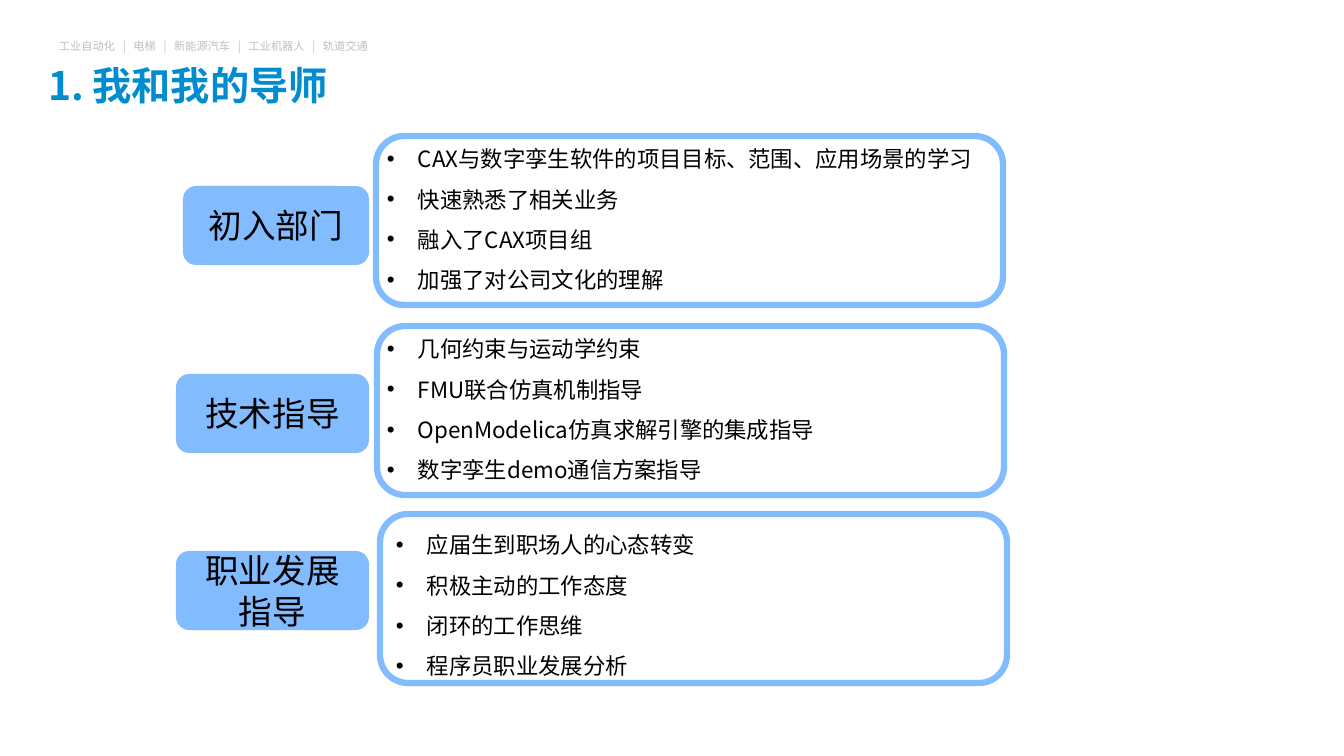
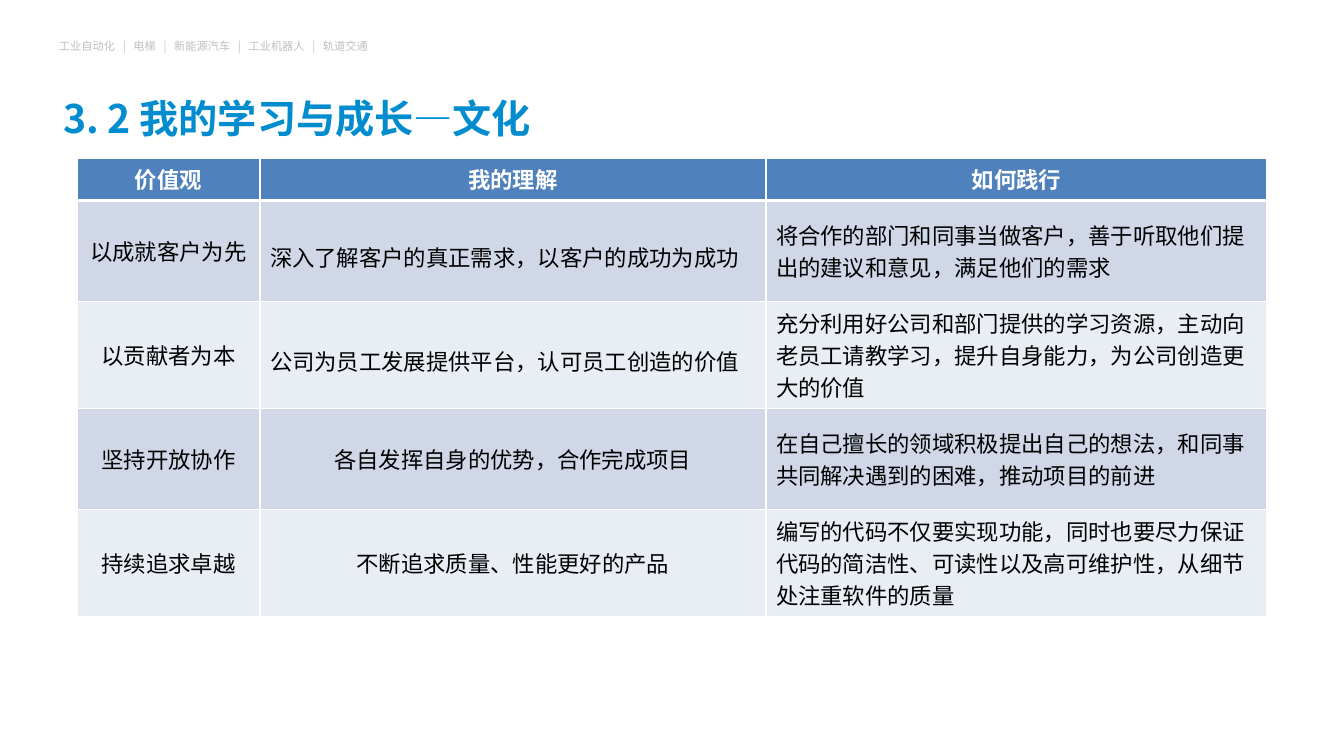
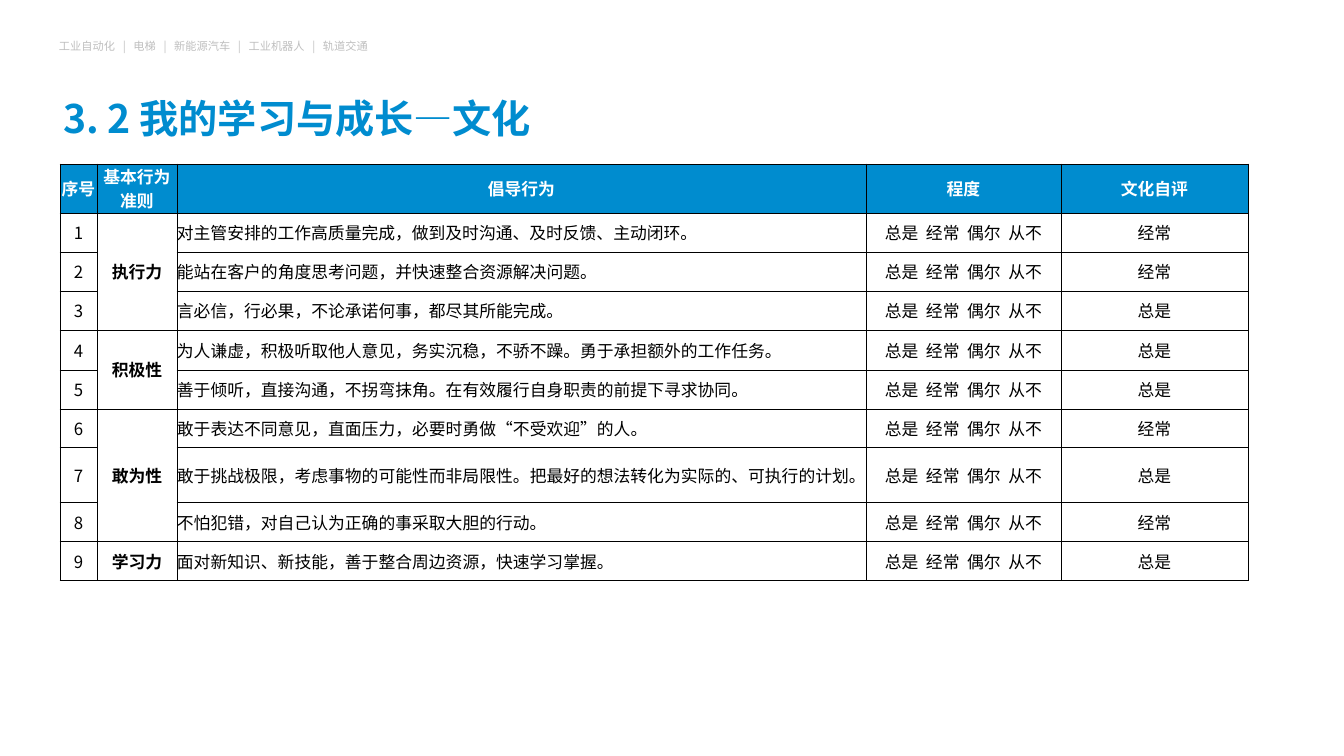
from lxml import etree
from pptx import Presentation
from pptx import util as u
from pptx.dml import color as dml
from pptx.enum import shapes, text
from pptx.oxml import ns

SCALE = 914400 / 100.8  # EMU in one px
FONT = "Noto Sans CJK SC"
BLUE, PALE_BLUE = "008CCF", "83BBFF"
BLACK, WHITE, GREY = "000000", "FFFFFF", "BFBFBF"
LEFT, CENTER = text.PP_ALIGN.LEFT, text.PP_ALIGN.CENTER
MIDDLE = text.MSO_ANCHOR.MIDDLE
color = dml.RGBColor.from_string


def px(*lengths):
    return [u.Emu(round(length * SCALE)) for length in lengths]


def write(frame, *lines, size=16, fill=BLACK, bold=False, align=LEFT,
          font=FONT, spacing=None, indent=0):
    """Write one paragraph a line; an indent also gives it a bullet."""
    for number, line in enumerate(lines):
        paragraph = frame.add_paragraph() if number else frame.paragraphs[0]
        paragraph.alignment = align
        if spacing:
            paragraph.line_spacing = spacing
        if indent:
            properties = paragraph._p.get_or_add_pPr()
            hanging, = px(indent)
            properties.set("marL", str(hanging))
            properties.set("indent", str(-hanging))
            etree.SubElement(properties, ns.qn("a:buFont"), typeface="Arial")
            etree.SubElement(properties, ns.qn("a:buChar"), char="•")
        run = paragraph.add_run()
        run.text = line
        run.font.size = u.Pt(size)
        run.font.bold = bold
        run.font.color.rgb = color(fill)
        run.font.name = font
        etree.SubElement(run._r.get_or_add_rPr(), ns.qn("a:ea"), typeface=FONT)


presentation = Presentation()
presentation.slide_width, presentation.slide_height = px(1344, 756)

# Shared layout: title only, with the business line above it
layout = presentation.slide_layouts[5]
for placeholder in list(layout.placeholders):
    if placeholder.placeholder_format.idx != 0:
        placeholder.element.getparent().remove(placeholder.element)

# Slides and titles
slides = []
for title_text, left, top in [("1. 我和我的导师", 45, 49),
                              ("3. 2 我的学习与成长—文化", 60, 82),
                              ("3. 2 我的学习与成长—文化", 60, 82)]:
    slide = presentation.slides.add_slide(layout)
    title = slide.shapes.title
    title.left, title.top, title.width, title.height = px(left, top, 555, 72)
    frame = title.text_frame
    frame.auto_size = text.MSO_AUTO_SIZE.NONE
    frame.vertical_anchor = MIDDLE
    frame.margin_left, frame.margin_top, frame.margin_right, frame.margin_bottom = px(3, 3, 3, 3)
    write(frame, title_text, size=28, fill=BLUE, bold=True)
    slides.append(slide)
mentor_slide, values_slide, review_slide = slides

# The business line is made once and moved to the layout
header = mentor_slide.shapes.add_textbox(*px(51, 35, 325, 21))
frame = header.text_frame
frame.word_wrap = True
frame.margin_left, frame.margin_top, frame.margin_right, frame.margin_bottom = px(7, 4, 7, 4)
write(frame, "工业自动化   |   电梯   |   新能源汽车   |   工业机器人   |   轨道交通",
      size=8, fill=GREY, align=CENTER)
layout.shapes.element.append(header.element)

# Slide 1: label, frame and list for each stage
stages = [
    ("初入部门", (183, 186, 186, 79), (376, 136), (377, 127),
     ["CAX与数字孪生软件的项目目标、范围、应用场景的学习", "快速熟悉了相关业务",
      "融入了CAX项目组", "加强了对公司文化的理解"]),
    ("技术指导", (176, 374, 193, 79), (377, 326), (377, 317),
     ["几何约束与运动学约束", "FMU联合仿真机制指导",
      "OpenModelica仿真求解引擎的集成指导", "数字孪生demo通信方案指导"]),
    ("职业发展指导", (176, 551, 193, 79), (380, 514), (386, 513),
     ["应届生到职场人的心态转变", "积极主动的工作态度",
      "闭环的工作思维", "程序员职业发展分析"]),
]
for label_text, label_place, outline_place, list_place, points in stages:
    outline = mentor_slide.shapes.add_shape(
        shapes.MSO_SHAPE.ROUNDED_RECTANGLE, *px(*outline_place, 627, 169))
    outline.shadow.inherit = False
    outline.fill.background()
    outline.line.color.rgb = color(PALE_BLUE)
    outline.line.width = u.Pt(4.5)

    label = mentor_slide.shapes.add_shape(
        shapes.MSO_SHAPE.ROUNDED_RECTANGLE, *px(*label_place))
    label.shadow.inherit = False
    label.fill.solid()
    label.fill.fore_color.rgb = color(PALE_BLUE)
    label.line.fill.background()
    frame = label.text_frame
    frame.word_wrap = True
    frame.vertical_anchor = MIDDLE
    frame.margin_left, frame.margin_top, frame.margin_right, frame.margin_bottom = px(16, 0, 16, 0)
    write(frame, label_text, size=24, align=CENTER)

    point_list = mentor_slide.shapes.add_textbox(*px(*list_place, 694, 168))
    point_list.text_frame.word_wrap = True
    write(point_list.text_frame, *points, spacing=1.5, indent=31)

# Tables of slides 2 and 3: grid, borders and cell alignment
tables = []
for slide, place, widths, heights, border, weight, header_weight in [
        (values_slide, (77, 158), [183, 506, 501], [42, 101, 106, 101, 106],
         WHITE, 1, 3),
        (review_slide, (60, 164), [37, 80, 689, 195, 187],
         [49, 39, 39, 39, 40, 39, 39, 55, 39, 39], BLACK, 0.5, 0.5)]:
    table = slide.shapes.add_table(
        len(heights), len(widths), *px(*place, sum(widths), sum(heights))).table
    table.first_row = table.horz_banding = False
    for column, width in zip(table.columns, px(*widths)):
        column.width = width
    for row_number, (row, height) in enumerate(zip(table.rows, px(*heights))):
        row.height = height
        for cell in row.cells:
            cell.vertical_anchor = MIDDLE
            for side in ["lnL", "lnR", "lnT", "lnB"]:
                under_header = (row_number, side) in [(0, "lnB"), (1, "lnT")]
                points = header_weight if under_header else weight
                line = etree.SubElement(cell._tc.get_or_add_tcPr(),
                                        ns.qn("a:" + side), w=str(u.Pt(points)))
                solid = etree.SubElement(line, ns.qn("a:solidFill"))
                etree.SubElement(solid, ns.qn("a:srgbClr"), val=border)
    tables.append(table)
values_table, review_table = tables

# Slide 2: values
values = [
    ("价值观", "我的理解", "如何践行"),
    ("以成就客户为先", "深入了解客户的真正需求，以客户的成功为成功",
     "将合作的部门和同事当做客户，善于听取他们提出的建议和意见，满足他们的需求"),
    ("以贡献者为本", "公司为员工发展提供平台，认可员工创造的价值",
     "充分利用好公司和部门提供的学习资源，主动向老员工请教学习，提升自身能力，为公司创造更大的价值"),
    ("坚持开放协作", "各自发挥自身的优势，合作完成项目",
     "在自己擅长的领域积极提出自己的想法，和同事共同解决遇到的困难，推动项目的前进"),
    ("持续追求卓越", "不断追求质量、性能更好的产品",
     "编写的代码不仅要实现功能，同时也要尽力保证代码的简洁性、可读性以及高可维护性，从细节处注重软件的质量"),
]
for row_number, row in enumerate(values):
    is_header = row_number == 0
    band = "4F81BD" if is_header else ["E9EDF4", "D0D8E8"][row_number % 2]
    for column_number, words in enumerate(row):
        cell = values_table.cell(row_number, column_number)
        cell.fill.solid()
        cell.fill.fore_color.rgb = color(band)
        loose = column_number == 1 and row_number in (1, 2)
        centered = is_header or column_number < 2 and not loose
        write(cell.text_frame, words, bold=is_header,
              fill=WHITE if is_header else BLACK,
              font="Arial" if is_header or column_number == 0 else FONT,
              align=CENTER if centered else LEFT,
              spacing=1.35 if loose else None)

# Slide 3: self review, grouped by principle
groups = [
    ("执行力", [("对主管安排的工作高质量完成，做到及时沟通、及时反馈、主动闭环。", "经常"),
             ("能站在客户的角度思考问题，并快速整合资源解决问题。", "经常"),
             ("言必信，行必果，不论承诺何事，都尽其所能完成。", "总是")]),
    ("积极性", [("为人谦虚，积极听取他人意见，务实沉稳，不骄不躁。勇于承担额外的工作任务。", "总是"),
             ("善于倾听，直接沟通，不拐弯抹角。在有效履行自身职责的前提下寻求协同。", "总是")]),
    ("敢为性", [("敢于表达不同意见，直面压力，必要时勇做“不受欢迎”的人。", "经常"),
             ("敢于挑战极限，考虑事物的可能性而非局限性。把最好的想法转化为实际的、可执行的计划。", "总是"),
             ("不怕犯错，对自己认为正确的事采取大胆的行动。", "经常")]),
    ("学习力", [("面对新知识、新技能，善于整合周边资源，快速学习掌握。", "总是")]),
]
rows = [("序号", "基本行为准则", "倡导行为", "程度", "文化自评")]
for principle, behaviours in groups:
    first = len(rows)
    for behaviour, rating in behaviours:
        name = principle if len(rows) == first else ""
        rows.append((str(len(rows)), name, behaviour, "总是  经常  偶尔  从不", rating))
    if len(behaviours) > 1:
        review_table.cell(first, 1).merge(review_table.cell(len(rows) - 1, 1))

for row_number, row in enumerate(rows):
    is_header = row_number == 0
    for column_number, words in enumerate(row):
        cell = review_table.cell(row_number, column_number)
        cell.margin_left = cell.margin_top = cell.margin_right = cell.margin_bottom = 0
        if is_header:
            cell.fill.solid()
            cell.fill.fore_color.rgb = color(BLUE)
        else:
            cell.fill.background()
        if words:
            write(cell.text_frame, words, size=12,
                  fill=WHITE if is_header else BLACK,
                  bold=is_header or column_number == 1,
                  align=LEFT if column_number == 2 and not is_header else CENTER)

presentation.save("out.pptx")
